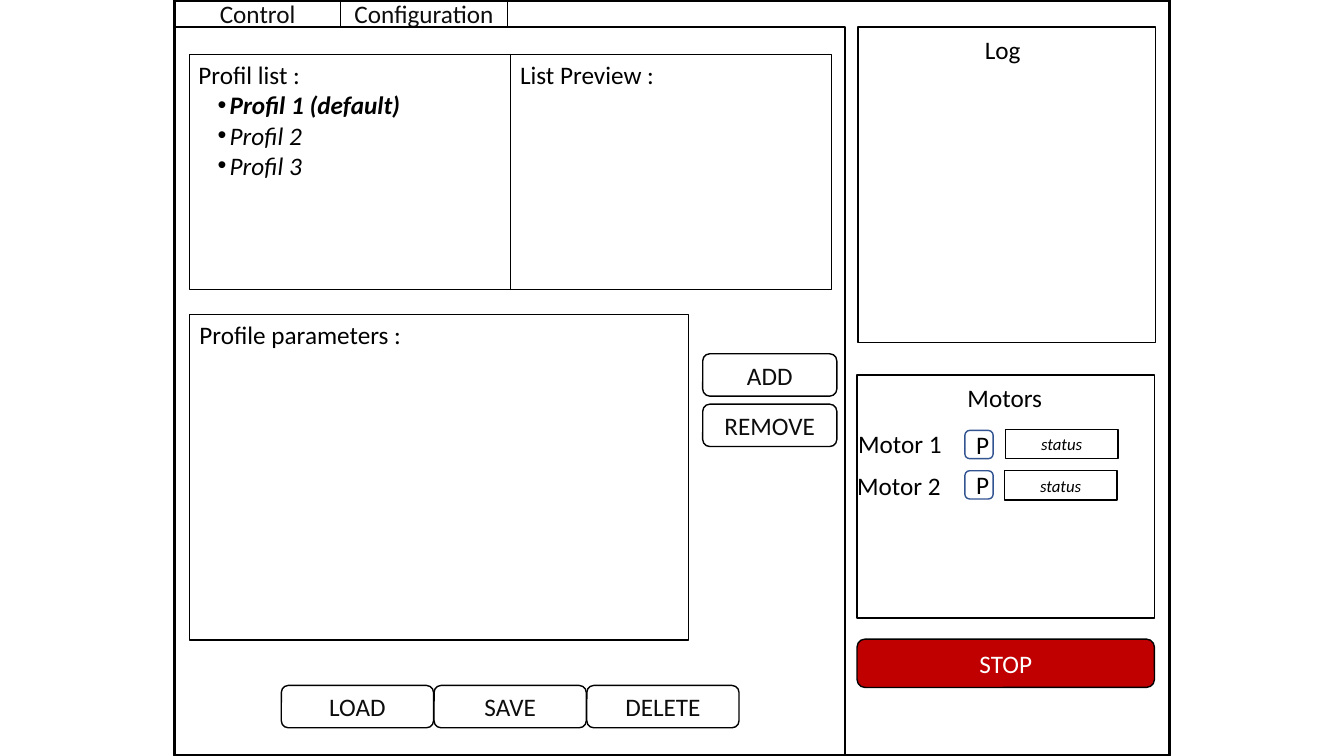
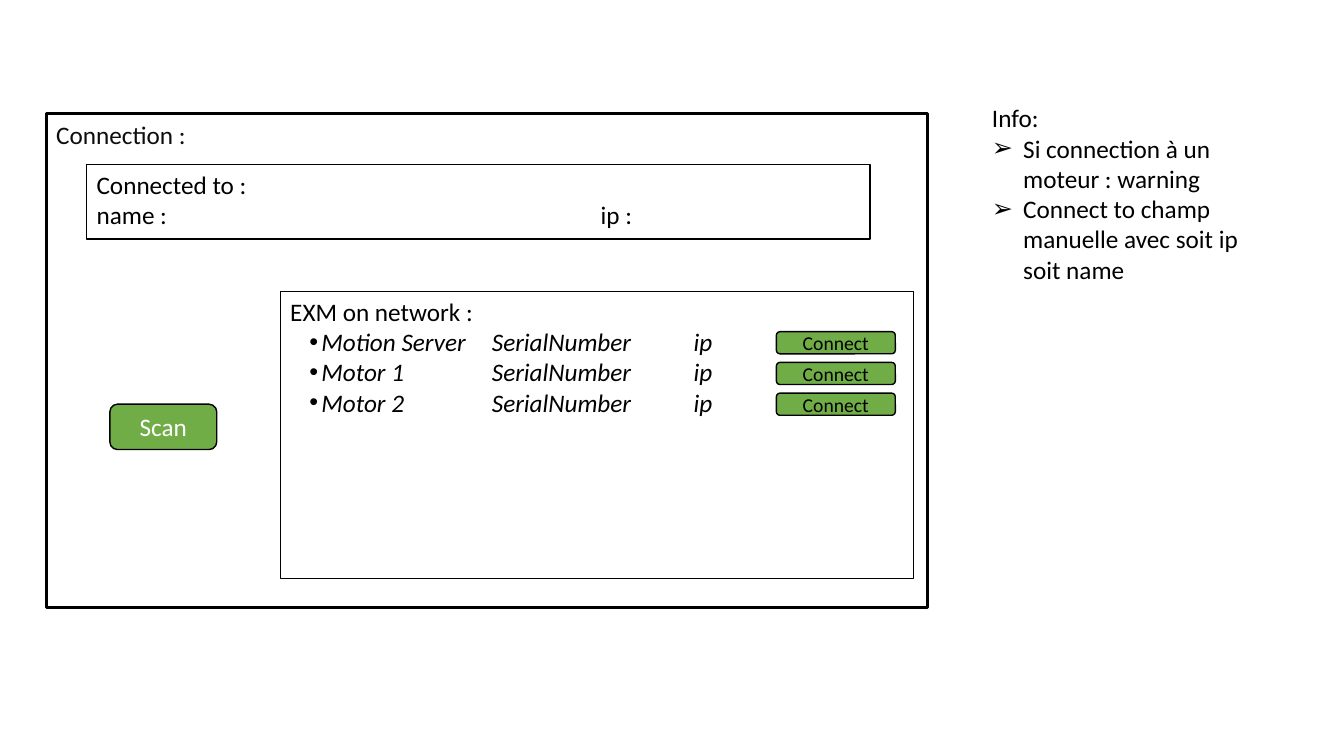
from dataclasses import dataclass
from typing import Any, Optional

from lxml import etree
from pptx import Presentation
from pptx.dml.color import RGBColor
from pptx.enum.shapes import MSO_CONNECTOR, MSO_SHAPE
from pptx.enum.text import MSO_ANCHOR, MSO_AUTO_SIZE, PP_ALIGN
from pptx.oxml.ns import qn
from pptx.util import Inches, Pt

RECT, ROUND = MSO_SHAPE.RECTANGLE, MSO_SHAPE.ROUNDED_RECTANGLE
STRAIGHT = MSO_CONNECTOR.STRAIGHT
LEFT, CENTER = PP_ALIGN.LEFT, PP_ALIGN.CENTER
TOP, MIDDLE = MSO_ANCHOR.TOP, MSO_ANCHOR.MIDDLE
GROW = MSO_AUTO_SIZE.SHAPE_TO_FIT_TEXT

BLACK = RGBColor(0x00, 0x00, 0x00)
INK = RGBColor(0x0D, 0x0D, 0x0D)
WHITE = RGBColor(0xFF, 0xFF, 0xFF)
RED = RGBColor(0xC0, 0x00, 0x00)
GREEN = RGBColor(0x70, 0xAD, 0x47)
BLUE = RGBColor(0x32, 0x54, 0x91)
FONT = "Calibri"


@dataclass(frozen=True)
class Line:
    text: str
    bold: bool = False
    italic: bool = False
    bullet: str = ""
    hanging: float = 0.12
    tabs: tuple[float, ...] = ()


@dataclass(frozen=True)
class Style:
    kind: Any = RECT
    fill: Optional[RGBColor] = None
    edge: RGBColor = BLACK
    weight: float = 1
    size: float = 18
    color: RGBColor = BLACK
    align: Any = LEFT
    anchor: Any = TOP


@dataclass(frozen=True)
class Box:
    left: float
    top: float
    width: float
    height: float
    style: Style
    lines: tuple[Line, ...] = ()


# Shared styles
WINDOW = Style(weight=2.25, color=INK)
FRAME = Style()
PANEL = Style(fill=WHITE)
ACTIVE_TAB = Style(fill=WHITE, weight=1.5, color=INK, align=CENTER, anchor=MIDDLE)
IDLE_TAB = Style(fill=WHITE, weight=0, color=INK, align=CENTER, anchor=MIDDLE)
BUTTON = Style(ROUND, color=INK, align=CENTER, anchor=MIDDLE)
STOP_BUTTON = Style(ROUND, RED, color=WHITE, align=CENTER, anchor=MIDDLE)
SCAN_BUTTON = Style(ROUND, GREEN, color=WHITE, align=CENTER, anchor=MIDDLE)
CONNECT_BUTTON = Style(ROUND, GREEN, size=14, align=CENTER, anchor=MIDDLE)
POWER_BUTTON = Style(ROUND, WHITE, BLUE, align=CENTER, anchor=MIDDLE)
STATUS = Style(fill=WHITE, size=12, align=CENTER, anchor=MIDDLE)
LABEL = Style(None, align=CENTER)
NOTE = Style(None)


def apply(target: Any, values: dict[str, Any]) -> None:
    for name, value in values.items():
        setattr(target, name, value)


def format_paragraph(para: Any, line: Line) -> None:
    """Add the bullet, hanging indent and tab stops of a line."""
    properties = para._p.get_or_add_pPr()
    if line.bullet:
        properties.set("marL", str(Inches(0.31)))
        properties.set("indent", str(-Inches(line.hanging)))
        etree.SubElement(properties, qn("a:buFont"), typeface="Arial")
        etree.SubElement(properties, qn("a:buChar"), char=line.bullet)
    if line.tabs:
        stops = etree.SubElement(properties, qn("a:tabLst"))
        for stop in line.tabs:
            etree.SubElement(stops, qn("a:tab"), pos=str(Inches(stop)), algn="l")


def write(frame: Any, lines: tuple[Line, ...], style: Style) -> None:
    apply(frame, {"word_wrap": True, "vertical_anchor": style.anchor})
    for index, line in enumerate(lines):
        para = frame.add_paragraph() if index else frame.paragraphs[0]
        para.alignment = style.align
        format_paragraph(para, line)
        span = para.add_run()
        span.text = line.text
        apply(span.font, {"name": FONT, "size": Pt(style.size),
                          "bold": line.bold, "italic": line.italic})
        span.font.color.rgb = style.color


def draw(shapes: Any, box: Box) -> None:
    style = box.style
    place = [Inches(n) for n in (box.left, box.top, box.width, box.height)]
    if style.kind is None:
        shape = shapes.add_textbox(*place)
        shape.text_frame.auto_size = GROW
    else:
        shape = shapes.add_shape(style.kind, *place)
        shape.shadow.inherit = False
        if style.fill is None:
            shape.fill.background()
        else:
            shape.fill.solid()
            shape.fill.fore_color.rgb = style.fill
        shape.line.color.rgb = style.edge
        shape.line.width = Pt(style.weight)
    write(shape.text_frame, box.lines, style)


def draw_all(shapes: Any, boxes: list[Box]) -> None:
    for box in boxes:
        draw(shapes, box)


def draw_divider(shapes: Any, x: float, top: float, bottom: float) -> None:
    divider = shapes.add_connector(STRAIGHT, Inches(x), Inches(top),
                                   Inches(x), Inches(bottom))
    divider.line.color.rgb = BLACK
    divider.line.width = Pt(0.5)
    etree.SubElement(divider._element.spPr, qn("a:effectLst"))


def text(*words: str) -> tuple[Line, ...]:
    return tuple(Line(word) for word in words)


def build_control(page: Any) -> None:
    shapes = page.shapes
    # Tabs, window and side panels
    draw_all(shapes, [
        Box(1.73, 0, 1.65, 0.27, ACTIVE_TAB, text("Control")),
        Box(3.38, 0, 1.65, 0.27, IDLE_TAB, text("Configuration")),
        Box(1.73, 0, 9.87, 7.5, WINDOW),
        Box(1.73, 0.27, 6.65, 7.23, FRAME),
        Box(8.51, 0.27, 2.95, 3.13, FRAME),
        Box(8.5, 3.72, 2.95, 2.41, FRAME),
        Box(9.44, 3.74, 1.05, 0.4, LABEL, text("Motors")),
        Box(9.42, 0.29, 1.05, 0.4, LABEL, text("Log")),
    ])
    # Motor rows
    for row in range(2):
        left, top = 8.4 - 0.01 * row, 4.2 + 0.42 * row
        control_top = 4.26 + 0.41 * row
        draw_all(shapes, [
            Box(left, top, 1.05, 0.4, LABEL, text(f"Motor {row + 1}")),
            Box(9.57, 4.27 + 0.4 * row, 0.28, 0.28, POWER_BUTTON, text("P")),
            Box(left + 1.57, control_top, 1.12, 0.29, STATUS,
                (Line("status", italic=True),)),
        ])
    # Profile list, preview and parameters
    profiles = (
        Line("Profil list :"),
        Line("Profil 1 (default)", bold=True, italic=True, bullet="•"),
        *(Line(f"Profil {n}", italic=True, bullet="•") for n in (2, 3)),
    )
    draw_all(shapes, [
        Box(8.5, 6.34, 2.95, 0.48, STOP_BUTTON, text("STOP")),
        Box(1.88, 0.54, 6.37, 2.33, PANEL),
        Box(1.87, 0.54, 3.19, 1.31, NOTE, profiles),
    ])
    draw_divider(shapes, 5.06, 0.54, 2.87)
    draw_all(shapes, [
        Box(5.06, 0.54, 3.19, 0.4, NOTE, text("List Preview :")),
        Box(1.88, 3.12, 4.95, 3.23, PANEL, text("Profile parameters :")),
    ])
    # Buttons
    file_buttons = shapes.add_group_shape().shapes
    for column, name in enumerate(("LOAD", "SAVE", "DELETE")):
        draw(file_buttons,
             Box(2.79 + 1.515 * column, 6.8, 1.51, 0.42, BUTTON, text(name)))
    for row, name in enumerate(("ADD", "REMOVE")):
        draw(shapes, Box(6.97, 3.51 + 0.5 * row, 1.33, 0.42, BUTTON, text(name)))


def build_connection(page: Any) -> None:
    shapes = page.shapes
    # Connection window and device list
    devices = tuple(
        Line(f"{name}\tSerialNumber\tip", italic=True, bullet="•", tabs=(2, 4))
        for name in ("Motion Server", "Motor 1", "Motor 2"))
    draw_all(shapes, [
        Box(0.46, 1.13, 8.74, 4.9, WINDOW, text("Connection :")),
        Box(1.09, 4.01, 1.06, 0.45, SCAN_BUTTON, text("Scan")),
        Box(2.78, 2.89, 6.28, 2.85, PANEL, (Line("EXM on network :"), *devices)),
        Box(0.86, 1.63, 7.77, 0.74, PANEL,
            (Line("Connected to :"), Line("name :\tip :", tabs=(5,)))),
    ])
    for row in range(len(devices)):
        draw(shapes, Box(7.7, 3.29 + 0.305 * row, 1.18, 0.22,
                         CONNECT_BUTTON, text("Connect")))
    # Side note
    remarks = tuple(
        Line(remark, bullet="➢", hanging=0.31)
        for remark in ("Si connection à un moteur : warning",
                       "Connect to champ manuelle avec soit ip soit name"))
    draw(shapes, Box(9.74, 0.97, 2.92, 1.92, NOTE, (Line("Info:"), *remarks)))


deck = Presentation()
apply(deck, {"slide_width": Inches(13.33), "slide_height": Inches(7.5)})
for build in (build_control, build_connection):
    build(deck.slides.add_slide(deck.slide_layouts[6]))
deck.save("out.pptx")
